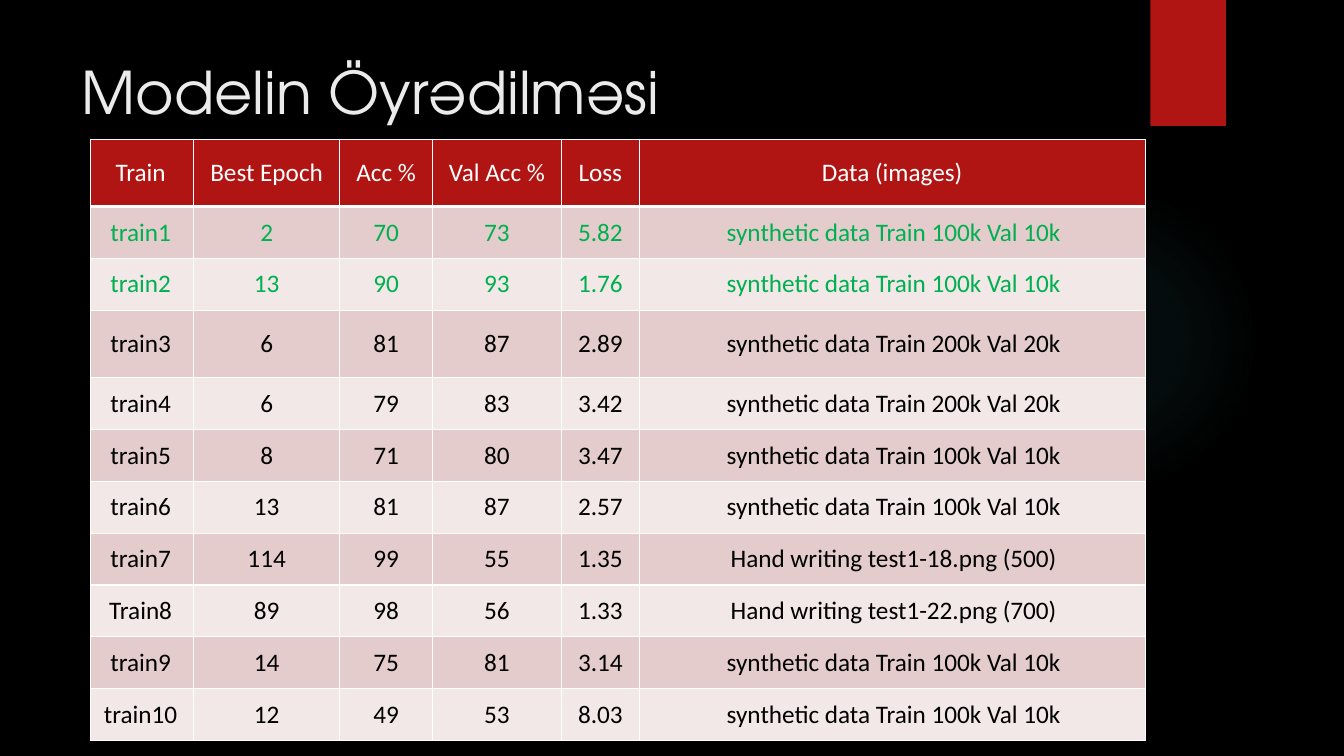
from lxml import etree
from pptx import Presentation
from pptx import util as u
from pptx.dml.color import RGBColor
from pptx.enum import shapes, text
from pptx.oxml.ns import nsdecls

COLORS = {
    "black": "000000", "white": "FFFFFF", "title": "EBEBEB", "red": "B01513",
    "green": "00B050", "band": "E4CCCC", "light": "F2E8E7", "glow": "50B9C1",
}
HEADERS = ["Train", "Best Epoch", "Acc %", "Val Acc %", "Loss", "Data (images)"]
SMALL_SET = "synthetic data Train 100k Val 10k"
LARGE_SET = "synthetic data Train 200k Val 20k"
RUNS = [
    ("train1", "2", "70", "73", "5.82", SMALL_SET),
    ("train2", "13", "90", "93", "1.76", SMALL_SET),
    ("train3", "6", "81", "87", "2.89", LARGE_SET),
    ("train4", "6", "79", "83", "3.42", LARGE_SET),
    ("train5", "8", "71", "80", "3.47", SMALL_SET),
    ("train6", "13", "81", "87", "2.57", SMALL_SET),
    ("train7", "114", "99", "55", "1.35", "Hand writing test1-18.png (500)"),
    ("Train8", "89", "98", "56", "1.33", "Hand writing test1-22.png (700)"),
    ("train9", "14", "75", "81", "3.14", SMALL_SET),
    ("train10", "12", "49", "53", "8.03", SMALL_SET),
]
GREEN_ROWS = (1, 2)
TALL_ROWS = (0, 3)
TALL_HEIGHT = 0.67
COLUMN_WIDTHS = [1.02, 1.45, 0.92, 1.28, 0.77, 5.02]
TABLE_AREA = (0.9, 1.38, 10.46, 5.97)


def rgb(name):
    return RGBColor.from_string(COLORS[name])


def write(frame, content, font="Calibri", size=18, color="black", align="CENTER"):
    para = frame.paragraphs[0]
    para.alignment = getattr(text.PP_ALIGN, align)
    span = para.add_run()
    span.text = content
    span.font.name = font
    span.font.size = u.Pt(size)
    span.font.color.rgb = rgb(color)


def add_border(cell, side, points):
    """Add a white border; side is L, R, T or B, called in that order before the fill."""
    cell._tc.get_or_add_tcPr().append(etree.fromstring(
        f'<a:ln{side} {nsdecls("a")} w="{u.Pt(points)}"><a:solidFill>'
        f'<a:srgbClr val="{COLORS["white"]}"/></a:solidFill></a:ln{side}>'))


class TrainingSlide:
    def __init__(self, deck):
        self.page = deck.slides.add_slide(deck.slide_layouts[5])
        self.page.background.fill.solid()
        self.page.background.fill.fore_color.rgb = rgb("black")

    def shape(self, kind, *area):
        shape = self.page.shapes.add_shape(kind, *map(u.Inches, area))
        shape.shadow.inherit = False
        shape.line.fill.background()
        return shape

    def glow(self, *area):
        """Draw a faint circle that fades out from its centre."""
        circle = self.shape(shapes.MSO_SHAPE.OVAL, *area)
        stops = "".join(
            f'<a:gs pos="{place * 1000}"><a:srgbClr val="{COLORS["glow"]}">'
            f'<a:alpha val="{alpha * 1000}"/></a:srgbClr></a:gs>'
            for place, alpha in ((0, 7), (36, 6), (69, 0)))
        geometry = circle._element.spPr.prstGeom
        geometry.addnext(etree.fromstring(
            f'<a:gradFill {nsdecls("a")}><a:gsLst>{stops}</a:gsLst><a:path path="circle">'
            '<a:fillToRect l="50000" t="50000" r="50000" b="50000"/></a:path></a:gradFill>'))

    def ribbon(self, *area):
        ribbon = self.shape(shapes.MSO_SHAPE.RECTANGLE, *area)
        ribbon.fill.solid()
        ribbon.fill.fore_color.rgb = rgb("red")

    def title(self, content, *area):
        title = self.page.shapes.title
        title.left, title.top, title.width, title.height = map(u.Inches, area)
        frame = title.text_frame
        frame.word_wrap = True
        frame.auto_size = text.MSO_AUTO_SIZE.NONE
        frame.vertical_anchor = text.MSO_ANCHOR.TOP
        write(frame, content, font="TeX Gyre Adventor", size=42, color="title", align="LEFT")

    def table(self, rows, *area):
        table = self.page.shapes.add_table(
            len(rows), len(COLUMN_WIDTHS), *map(u.Inches, area)).table
        for column, width in zip(table.columns, COLUMN_WIDTHS):
            column.width = u.Inches(width)
        tall_total = TALL_HEIGHT * len(TALL_ROWS)
        plain_height = (area[3] - tall_total) / (len(rows) - len(TALL_ROWS))
        for r, values in enumerate(rows):
            table.rows[r].height = u.Inches(TALL_HEIGHT if r in TALL_ROWS else plain_height)
            for c, value in enumerate(values):
                self.cell(table.cell(r, c), value, r, c)

    def cell(self, cell, value, r, c):
        last = c == len(COLUMN_WIDTHS) - 1
        cell.margin_left = u.Inches(0.1 if c == 0 else 0.13)
        cell.margin_right = u.Inches(0.1 if last and r > 0 else 0.13)
        cell.margin_top = cell.margin_bottom = u.Inches(0.08)
        cell.vertical_anchor = text.MSO_ANCHOR.MIDDLE
        for side, points in (("L", 1), ("R", 1), ("T", 3 if r == 1 else 1),
                             ("B", 3 if r == 0 else 1)):
            add_border(cell, side, points)
        if r == 0:
            fill, color = "red", "white"
        else:
            fill = "band" if r % 2 else "light"
            color = "green" if r in GREEN_ROWS else "black"
        cell.fill.solid()
        cell.fill.fore_color.rgb = rgb(fill)
        write(cell.text_frame, value, color=color)


def main():
    deck = Presentation()
    deck.slide_width, deck.slide_height = u.Inches(13.33), u.Inches(7.5)
    slide = TrainingSlide(deck)
    slide.glow(9.41, 1.83, 3.08, 3.08)
    slide.ribbon(11.41, 0, 0.75, 1.25)
    slide.title("Modelin Öyrədilməsi", 0.71, 0.5, 10.29, 1.53)
    slide.table([HEADERS, *RUNS], *TABLE_AREA)
    deck.save("out.pptx")


if __name__ == "__main__":
    main()
